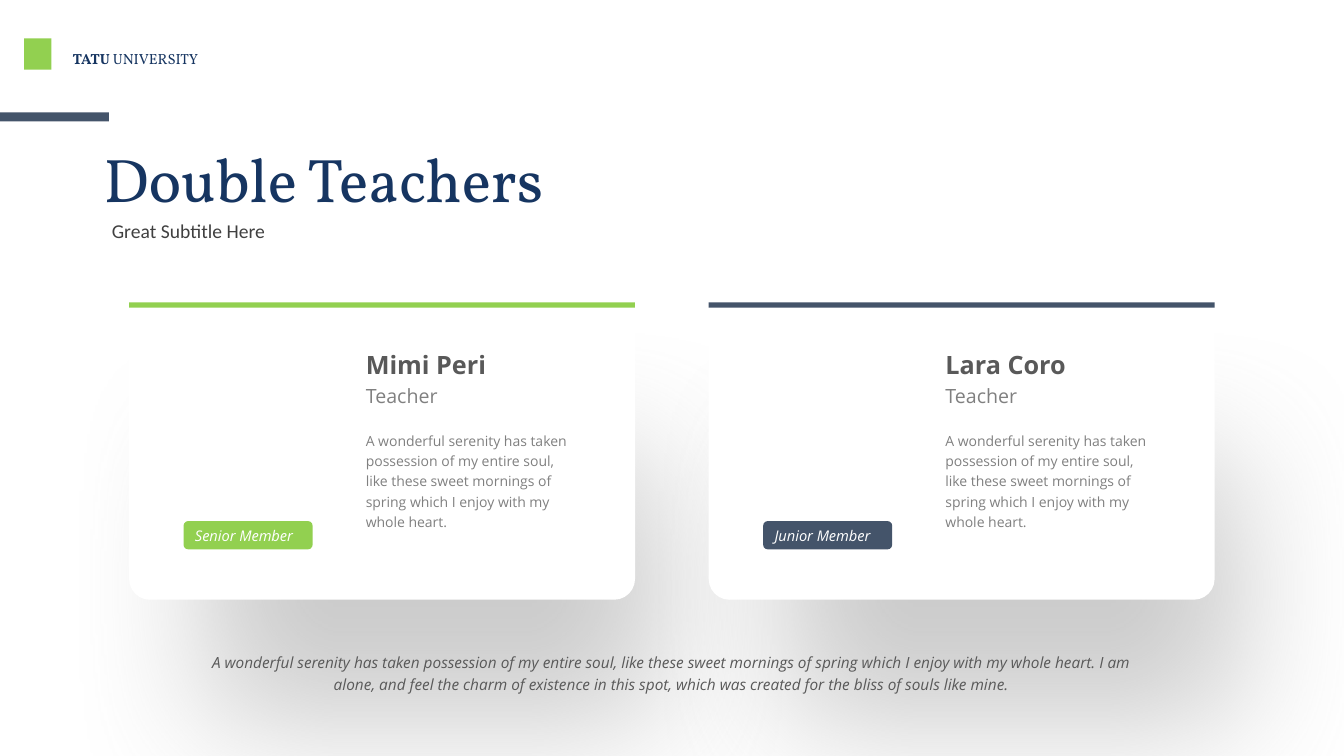
from lxml.etree import SubElement
from pptx import Presentation
from pptx.dml.color import RGBColor
from pptx.enum.shapes import MSO_SHAPE as Preset
from pptx.enum.text import MSO_ANCHOR as Anchor, MSO_AUTO_SIZE as AutoSize, PP_ALIGN as Align
from pptx.oxml.ns import qn
from pptx.util import Pt

COLORS = {
    "white": "FFFFFF", "navy": "163561", "slate": "44546A", "green": "92D050",
    "dark": "404040", "strong": "595959", "muted": "808080",
}
BODY_FONT = "Open Sans"
HEAD_FONT = "Vollkorn"
BIO = ("A wonderful serenity has taken possession of my entire soul, like these "
       "sweet mornings of spring which I enjoy with my whole heart.")
QUOTE = BIO + (" I am alone, and feel the charm of existence in this spot, "
               "which was created for the bliss of souls like mine.")
TEACHERS = [
    ("Mimi Peri", "Teacher", "Senior Member", "green"),
    ("Lara Coro", "Teacher", "Junior Member", "slate"),
]


def rgb(color):
    return RGBColor.from_string(COLORS[color])


def style(paragraph, size, color, font, bold=False, italic=False):
    paragraph.font.size = Pt(size)
    paragraph.font.name = font
    paragraph.font.color.rgb = rgb(color)
    paragraph.font.bold = bold
    paragraph.font.italic = italic


def add_block(slide, preset, box, color):
    block = slide.shapes.add_shape(preset, *map(Pt, box))
    block.shadow.inherit = False
    block.fill.solid()
    block.fill.fore_color.rgb = rgb(color)
    block.line.fill.background()
    return block


def add_text(slide, box, words, size, color, font=BODY_FONT, bold=False,
             italic=False, align=Align.LEFT, spacing=None, grow=True):
    frame = slide.shapes.add_textbox(*map(Pt, box)).text_frame
    frame.word_wrap = True
    frame.auto_size = AutoSize.SHAPE_TO_FIT_TEXT if grow else AutoSize.NONE
    frame.vertical_anchor = Anchor.TOP if grow else Anchor.MIDDLE
    paragraph = frame.paragraphs[0]
    paragraph.text = words
    paragraph.alignment = align
    if spacing:
        paragraph.line_spacing = spacing
    style(paragraph, size, color, font, bold, italic)
    return paragraph


def cast_shadow(panel):
    effects = panel._element.spPr.find(qn("a:effectLst"))
    shadow = SubElement(effects, qn("a:outerShdw"), {
        "blurRad": str(Pt(100)), "dist": str(Pt(88)), "dir": "5400000",
        "sx": "90000", "sy": "90000", "algn": "t", "rotWithShape": "0"})
    tint = SubElement(shadow, qn("a:srgbClr"), val=COLORS["muted"])
    SubElement(tint, qn("a:alpha"), val="40000")


def add_brand(slide, left, top):
    add_block(slide, Preset.RECTANGLE, (left, top, 19.4, 22.3), "green")
    university = add_text(slide, (left + 27.4, top + 4.3, 108.7, 20.2), "",
                          10.5, "navy", HEAD_FONT)
    university.add_run().text = "TATU "
    university.add_run().text = "UNIVERSITY"
    university.runs[0].font.bold = True


def add_heading(slide, left, top):
    add_text(slide, (left, top, 432.7, 81.4), "Double Teachers", 44, "navy",
             HEAD_FONT, grow=False)
    add_block(slide, Preset.RECTANGLE, (0, top - 6.2, 77.8, 6.5), "slate")
    add_text(slide, (left + 5.8, top + 66.2, 260.6, 24.5), "Great Subtitle Here",
             14, "dark", "Calibri")


def add_panel(slide, left, top, width, height):
    panel = add_block(slide, Preset.ROUND_2_SAME_RECTANGLE,
                      (left, top, width, height), "white")
    panel.adjustments[0] = 0.07
    panel.adjustments[1] = 0
    panel._element.spPr.get_or_add_xfrm().set("flipV", "1")
    cast_shadow(panel)


def add_teacher(slide, left, top, width, teacher):
    name, role, rank, accent = teacher
    add_block(slide, Preset.RECTANGLE, (left, top, width, 3.8), accent)
    text_left = left + 162
    add_text(slide, (text_left, top + 87.1, 164.9, 79.2), BIO, 10, "muted", spacing=1.2)
    add_text(slide, (text_left, top + 30.2, 157.7, 28.8), name, 18, "strong", bold=True)
    add_text(slide, (text_left, top + 54.7, 157.7, 24.5), role, 14, "muted")

    badge = add_block(slide, Preset.ROUNDED_RECTANGLE,
                      (left + 38.9, top + 156.2, 92.2, 20.2), accent)
    frame = badge.text_frame
    frame.margin_left = frame.margin_right = frame.margin_top = frame.margin_bottom = 0
    frame.vertical_anchor = Anchor.MIDDLE
    member = frame.paragraphs[0]
    member.text = rank
    member.alignment = Align.LEFT
    member._p.get_or_add_pPr().set("indent", str(Pt(7.2)))
    style(member, 10.5, "white", BODY_FONT, italic=True)


def add_teachers(slide, left, top, width, height, step):
    lefts = [left + step * index for index in range(len(TEACHERS))]
    for card_left in lefts:
        add_panel(slide, card_left, top, width, height)
    for card_left, teacher in zip(lefts, TEACHERS):
        add_teacher(slide, card_left, top, width, teacher)


def add_quote(slide, box):
    add_text(slide, box, QUOTE, 11, "strong", italic=True, align=Align.CENTER, spacing=1.2)


def main():
    deck = Presentation()
    deck.slide_width, deck.slide_height = Pt(960), Pt(540)
    slide = deck.slides.add_slide(deck.slide_layouts[6])
    add_teachers(slide, 92.2, 216, 361.4, 212.4, 414)
    add_heading(slide, 67, 86.4)
    add_brand(slide, 17.3, 27.4)
    add_quote(slide, (139, 460.1, 681.8, 38.2))
    deck.save("out.pptx")


if __name__ == "__main__":
    main()
